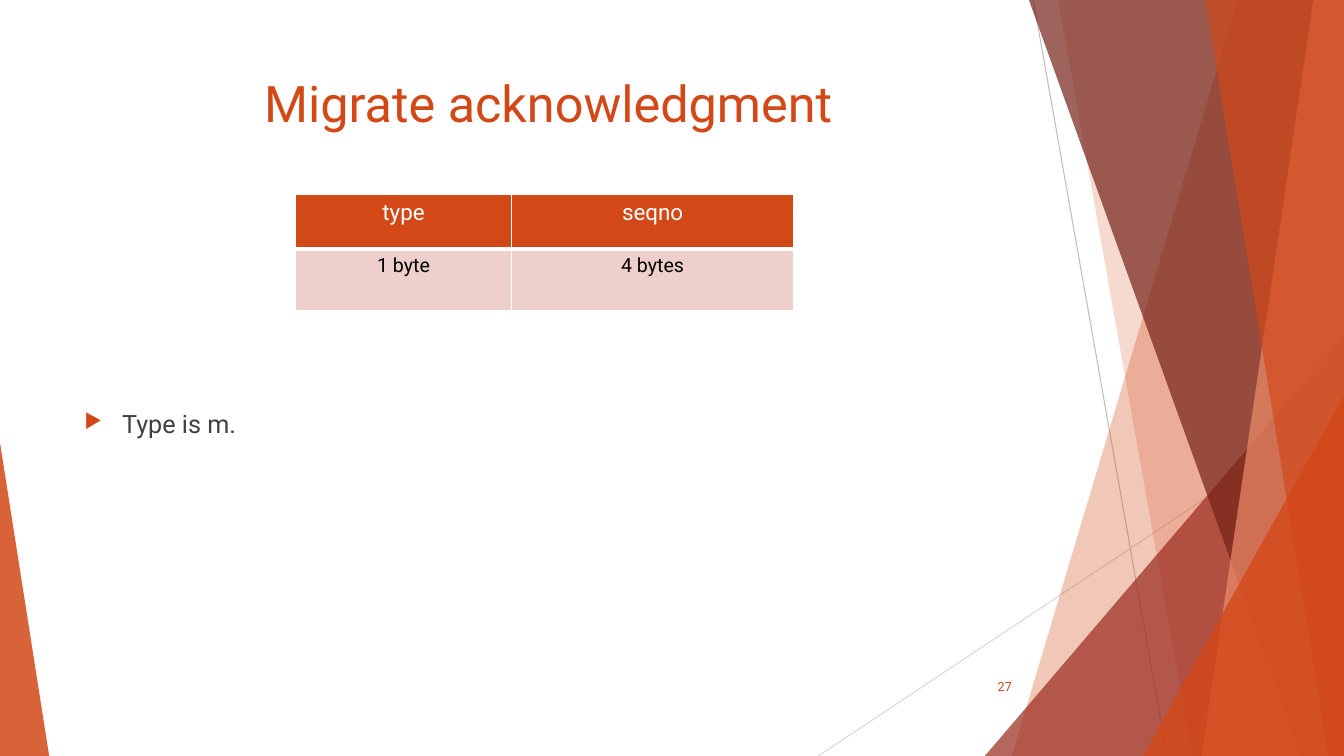
from dataclasses import dataclass

import pptx
import pptx.dml.color
import pptx.enum.shapes
import pptx.enum.text
import pptx.oxml
import pptx.oxml.ns
import pptx.util

Cm = pptx.util.Cm
Pt = pptx.util.Pt
RGB = pptx.dml.color.RGBColor.from_string
qn = pptx.oxml.ns.qn
Shape = pptx.enum.shapes.MSO_SHAPE
Align = pptx.enum.text.PP_ALIGN
Anchor = pptx.enum.text.MSO_ANCHOR

WIDE, HIGH = 33.87, 19.05  # slide size in cm


@dataclass(frozen=True)
class Theme:
    font: str = "Roboto"
    main: str = "D34817"
    brick: str = "9B2D1F"
    dark: str = "742217"
    peach: str = "EF8C6A"
    pale: str = "EFCFCC"
    grey: str = "BFBFBF"
    light: str = "D9D9D9"
    body: str = "404040"
    white: str = "FFFFFF"
    black: str = "000000"
    title: int = 36
    text: int = 18
    head: int = 16
    cell: int = 14
    page: int = 9


THEME = Theme()


def make(tag, **attrs):
    item = pptx.oxml.parse_xml(f"<{tag} {pptx.oxml.ns.nsdecls('a')}/>")
    for key, value in attrs.items():
        item.set(key, str(value))
    return item


def tint(shape, color, alpha):
    """Fill a shape with a see-through colour and no outline."""
    shape.shadow.inherit = False
    shape.line.fill.background()
    shape.fill.solid()
    shape.fill.fore_color.rgb = RGB(color)
    paint = shape._element.spPr.find(qn("a:solidFill"))[0]
    paint.append(make("a:alpha", val=alpha * 1000))


def add_line(slide, start, end, color):
    line = slide.shapes.add_connector(
        pptx.enum.shapes.MSO_CONNECTOR.STRAIGHT, *map(Cm, start + end))
    line.line.color.rgb = RGB(color)
    line.line.width = Pt(0.75)
    line._element.spPr.append(make("a:effectLst"))


def add_band(slide, top, foot, color, alpha):
    """Full-height band with a slanted left edge, ending at the right margin."""
    form = slide.shapes.build_freeform(Cm(top), 0)
    rest = [(WIDE, 0), (WIDE, HIGH), (foot, HIGH)]
    form.add_line_segments([(Cm(x), Cm(y)) for x, y in rest], close=True)
    tint(form.convert_to_shape(), color, alpha)


def add_wedge(slide, left, wide, high, peak, color, alpha):
    """Triangle that stands on the bottom edge of the slide."""
    wedge = slide.shapes.add_shape(
        Shape.ISOSCELES_TRIANGLE, Cm(left), Cm(HIGH - high), Cm(wide), Cm(high))
    wedge.adjustments[0] = peak
    tint(wedge, color, alpha)


def add_run(par, text, size, color, align):
    par.alignment = align
    run = par.add_run()
    run.text = text
    run.font.name = THEME.font
    run.font.size = Pt(size)
    run.font.color.rgb = RGB(color)


def add_bullet(par):
    props = par._p.get_or_add_pPr()
    props.set("marL", str(Cm(0.95)))
    props.set("indent", str(-Cm(0.95)))
    color = make("a:buClr")
    color.append(make("a:srgbClr", val=THEME.main))
    for item in (color, make("a:buSzPct", val=80000), make("a:buChar", char="▶")):
        props.append(item)


def add_text(slide, box, text, size, color, align, anchor=Anchor.TOP, bullet=False):
    frame = slide.shapes.add_textbox(*map(Cm, box)).text_frame
    frame.word_wrap = True
    frame.vertical_anchor = anchor
    par = frame.paragraphs[0]
    if bullet:
        add_bullet(par)
    add_run(par, text, size, color, align)


def set_edges(cell, foot):
    """White cell borders, with the bottom one of its own width."""
    props = cell._tc.get_or_add_tcPr()
    for spot, side in enumerate("LRTB"):
        edge = make(f"a:ln{side}", w=Pt(foot if side == "B" else 1))
        fill = make("a:solidFill")
        fill.append(make("a:srgbClr", val=THEME.white))
        edge.append(fill)
        props.insert(spot, edge)


def add_grid(slide, left, top, wides, highs, rows, styles):
    grid = slide.shapes.add_table(
        len(highs), len(wides), Cm(left), Cm(top),
        Cm(sum(wides)), Cm(sum(highs))).table
    for col, wide in zip(grid.columns, wides):
        col.width = Cm(wide)
    for row, high, words, style in zip(grid.rows, highs, rows, styles):
        row.height = Cm(high)
        size, color, back, foot = style
        for cell, word in zip(row.cells, words):
            cell.fill.solid()
            cell.fill.fore_color.rgb = RGB(back)
            set_edges(cell, foot)
            add_run(cell.text_frame.paragraphs[0], word, size, color, Align.CENTER)


def add_decor(slide):
    t = THEME
    add_line(slide, (26.04, 0), (29.41, HIGH), t.grey)
    add_line(slide, (WIDE, 10.24), (20.62, HIGH), t.light)
    add_band(slide, 31.19, 25.5, t.main, 30)
    add_band(slide, 26.67, 30.05, t.main, 20)
    add_wedge(slide, 24.82, 9.05, 10.59, 1, t.brick, 72)
    add_band(slide, 25.93, 32.79, t.dark, 70)
    add_band(slide, 33.1, 30.28, t.peach, 70)
    add_band(slide, 30.38, 33.48, t.main, 65)
    add_wedge(slide, 28.81, 5.06, 9.07, 1, t.main, 80)
    add_wedge(slide, 0, 1.24, 7.9, 0, t.main, 85)


def main():
    t = THEME
    deck = pptx.Presentation()
    deck.slide_width, deck.slide_height = Cm(WIDE), Cm(HIGH)
    slide = deck.slides.add_slide(deck.slide_layouts[6])

    # Backdrop
    add_decor(slide)

    # Title, body and page number
    add_text(slide, (1.88, 1.7, 23.88, 3.66), "Migrate acknowledgment",
             t.title, t.main, Align.CENTER)
    add_text(slide, (1.88, 10.16, 23.88, 6.63), "Type is m.",
             t.text, t.body, Align.LEFT, bullet=True)
    add_text(slide, (23.85, 16.79, 1.9, 1.02), "27",
             t.page, t.main, Align.RIGHT, Anchor.MIDDLE)

    # Message layout
    add_grid(slide, 7.44, 4.9, (5.46, 7.09), (1.37, 1.55),
             [("type", "seqno"), ("1 byte", "4 bytes")],
             [(t.head, t.white, t.main, 3), (t.cell, t.black, t.pale, 1)])

    deck.save("out.pptx")


if __name__ == "__main__":
    main()
